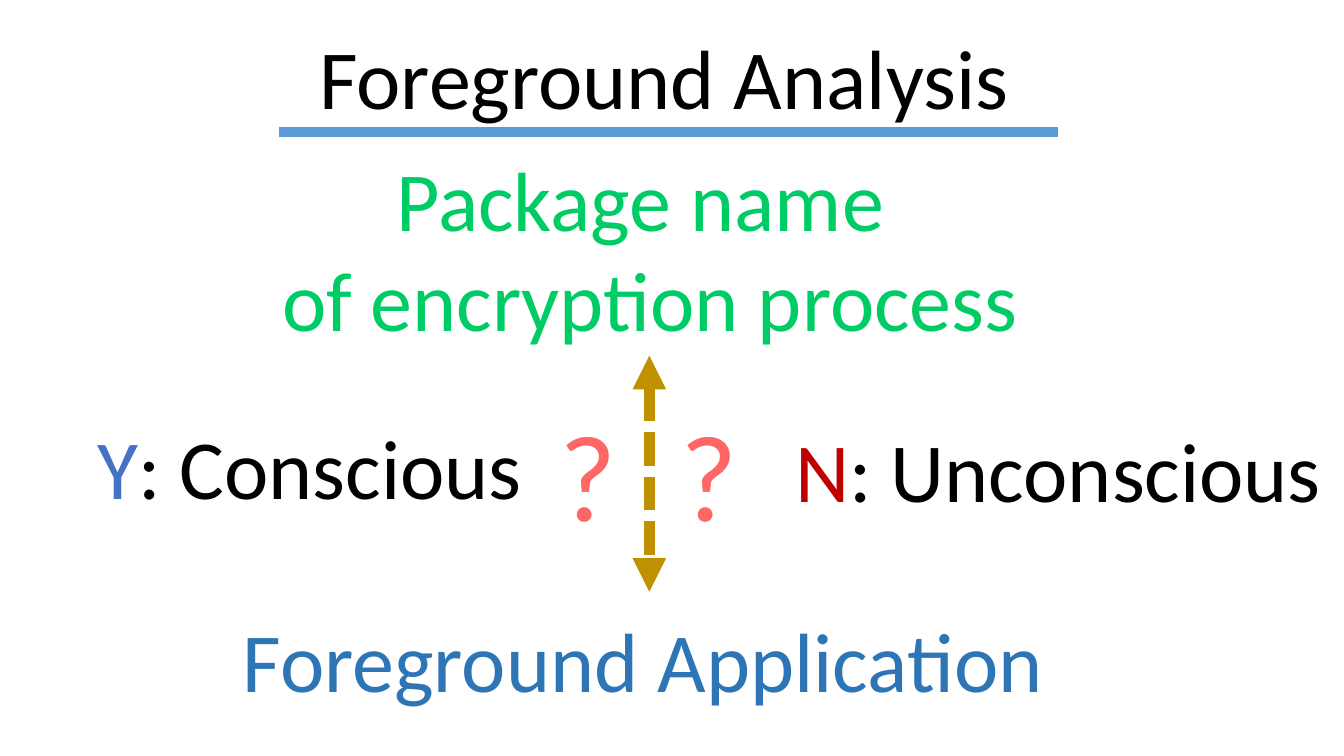
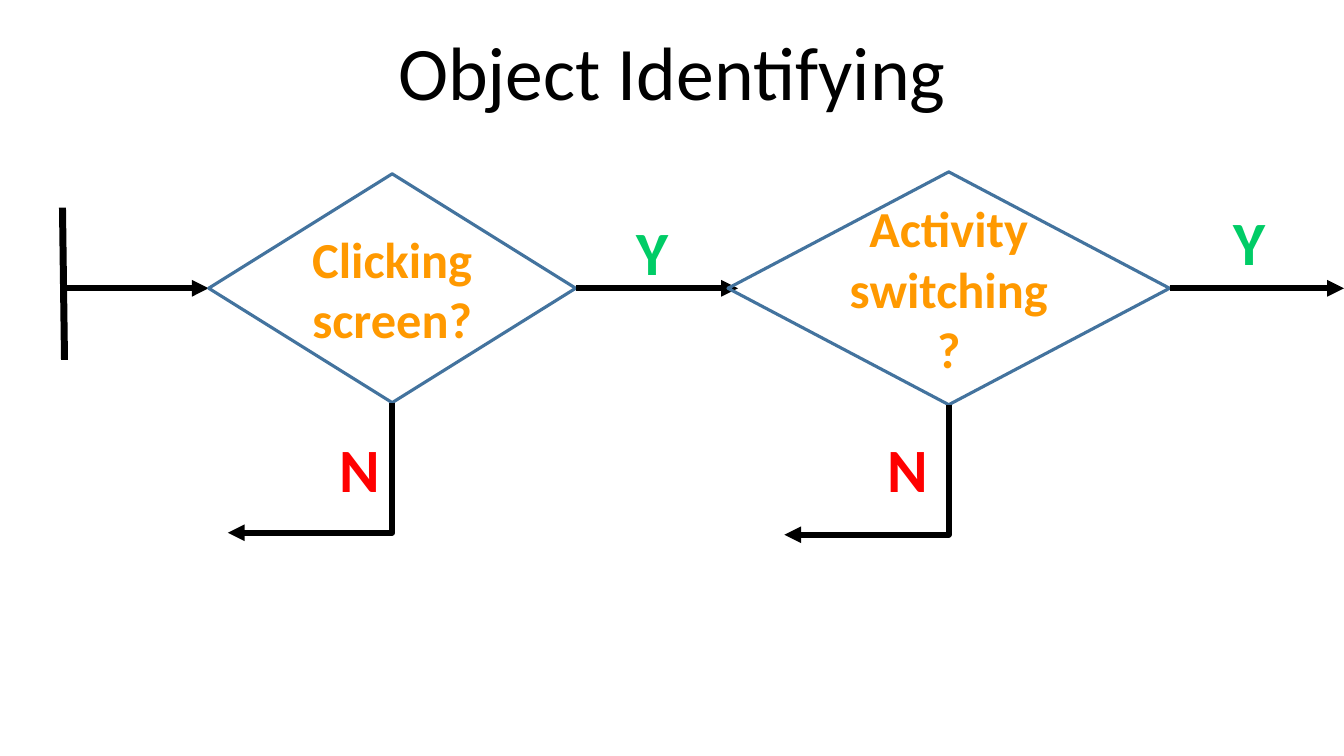
"""Build two slides: foreground analysis and object identifying."""
from dataclasses import dataclass

from lxml.etree import SubElement
from pptx import Presentation
from pptx.dml.color import RGBColor
from pptx.enum.dml import MSO_LINE
from pptx.enum.shapes import MSO_CONNECTOR, MSO_SHAPE
from pptx.enum.text import MSO_ANCHOR, MSO_AUTO_SIZE, PP_ALIGN
from pptx.oxml.ns import qn
from pptx.util import Inches, Pt


@dataclass(frozen=True)
class Theme:
    font: str = "Calibri"
    black: str = "000000"
    green: str = "00CC66"
    red: str = "FF0000"
    dark_red: str = "C00000"
    blue: str = "4472C4"
    deep_blue: str = "2E75B6"
    rule_blue: str = "5B9BD5"
    outline: str = "43739E"
    gold: str = "BF9000"
    orange: str = "FF9900"
    statement: int = 60
    flow_title: int = 54
    question: int = 88
    decision: int = 36
    answer: int = 44


theme = Theme()


def write(shape, lines, size, align=PP_ALIGN.CENTER, anchor=MSO_ANCHOR.TOP, bold=False, alpha=None):
    frame = shape.text_frame
    frame_format = {"word_wrap": True, "auto_size": MSO_AUTO_SIZE.NONE, "vertical_anchor": anchor}
    for name, value in frame_format.items():
        setattr(frame, name, value)
    for index, line in enumerate(lines):
        para = frame.add_paragraph() if index else frame.paragraphs[0]
        para.alignment = align
        for text, colour in line:
            span = para.add_run()
            span.text = text
            for name, value in {"name": theme.font, "size": Pt(size), "bold": bold}.items():
                setattr(span.font, name, value)
            span.font.color.rgb = RGBColor.from_string(colour)
            if alpha:
                fill = span.font.fill._xPr.find(qn("a:solidFill"))
                SubElement(fill[0], qn("a:alpha")).set("val", str(alpha * 1000))


def draw_line(page, start, end, colour, width, ends=(), dash=None, kind=MSO_CONNECTOR.STRAIGHT):
    points = [Inches(value) for value in (*start, *end)]
    connector = page.shapes.add_connector(kind, *points)
    connector.line.color.rgb = RGBColor.from_string(colour)
    connector.line.width = Pt(width)
    if dash:
        connector.line.dash_style = dash
    for end_name in ends:
        SubElement(connector.line._ln, qn(f"a:{end_name}")).set("type", "triangle")
    SubElement(connector._element.spPr, qn("a:effectLst"))
    return connector


deck = Presentation()
deck.slide_width, deck.slide_height = Inches(13.33), Inches(7.5)
title_only = deck.slide_layouts[5]

pages = []
for text, place, size in (
    ("Foreground Analysis", (2.68, 0.2, 7.81, 1.11), theme.statement),
    ("Object Identifying", (3.28, 0.2, 6.77, 1.01), theme.flow_title),
):
    page = deck.slides.add_slide(title_only)
    title = page.shapes.title
    for name, value in zip(("left", "top", "width", "height"), place):
        setattr(title, name, Inches(value))
    write(title, [[(text, theme.black)]], size)
    pages.append(page)
analysis, identifying = pages

draw_line(analysis, (2.77, 1.31), (10.49, 1.31), theme.rule_blue, 7)
draw_line(analysis, (6.44, 3.53), (6.44, 5.87), theme.gold, 8,
          ("headEnd", "tailEnd"), MSO_LINE.SQUARE_DOT)

for place, lines, align in (
    ((2.31, 5.99, 8.27, 1.11), [[("Foreground Application", theme.deep_blue)]], PP_ALIGN.LEFT),
    ((0.47, 1.41, 11.95, 2.12),
     [[("Package name ", theme.green)], [("of encryption process", theme.green)]], PP_ALIGN.CENTER),
    ((0.85, 4.07, 4.44, 1.11),
     [[("Y", theme.blue), (": Conscious", theme.black)]], PP_ALIGN.CENTER),
    ((7.77, 4.1, 5.45, 1.11),
     [[("N", theme.dark_red), (": Unconscious", theme.black)]], PP_ALIGN.CENTER),
):
    box = analysis.shapes.add_textbox(*[Inches(value) for value in place])
    write(box, lines, theme.statement, align)

for left in (5.45, 6.65):
    box = analysis.shapes.add_textbox(Inches(left), Inches(3.9), Inches(0.53), Inches(1.58))
    write(box, [[("?", theme.red)]], theme.question, PP_ALIGN.LEFT, alpha=60)

flow_y = 2.86
flow_width = 4
branch_drop, branch_reach = 1.29, 1.63
draw_line(identifying, (0.62, 2.06), (0.64, 3.57), theme.black, 5)
entry = draw_line(identifying, (0.64, flow_y), (2.07, flow_y), theme.black, flow_width, ("tailEnd",))

decisions = []
for text, left, width, height, exit_x in (
    ("Clicking screen?", 2.07, 3.64, 2.27, 7.32),
    ("Activity switching?", 7.22, 4.38, 2.31, 13.33),
):
    decision = identifying.shapes.add_shape(
        MSO_SHAPE.FLOWCHART_DECISION, Inches(left), Inches(flow_y - height / 2),
        Inches(width), Inches(height))
    decision.shadow.inherit = False
    decision.fill.background()
    decision.line.color.rgb = RGBColor.from_string(theme.outline)
    decision.line.width = Pt(2.25)
    write(decision, [[(text, theme.orange)]], theme.decision, anchor=MSO_ANCHOR.MIDDLE, bold=True)
    decisions.append(decision)

    yes_arrow = draw_line(identifying, (left + width, flow_y), (exit_x, flow_y),
                          theme.black, flow_width, ("tailEnd",))
    yes_arrow.begin_connect(decision, 3)

    centre_x = left + width / 2 - branch_reach / 2
    centre_y = flow_y + height / 2 + branch_drop / 2
    no_arrow = draw_line(
        identifying,
        (centre_x - branch_drop / 2, centre_y - branch_reach / 2),
        (centre_x + branch_drop / 2, centre_y + branch_reach / 2),
        theme.black, flow_width, ("tailEnd",), kind=MSO_CONNECTOR.ELBOW)
    properties = no_arrow._element.spPr
    properties.find(qn("a:xfrm")).set("rot", "5400000")
    properties.find(qn("a:prstGeom")).set("prst", "bentConnector2")
entry.end_connect(decisions[0], 1)

for text, colour, left, top in (
    ("Y", theme.green, 5.97, 2.07),
    ("N", theme.red, 3.07, 4.23),
    ("N", theme.red, 8.5, 4.23),
    ("Y", theme.green, 11.89, 1.97),
):
    box = identifying.shapes.add_textbox(Inches(left), Inches(top), Inches(1), Inches(0.84))
    write(box, [[(text, colour)]], theme.answer, bold=True)

deck.save("out.pptx")
